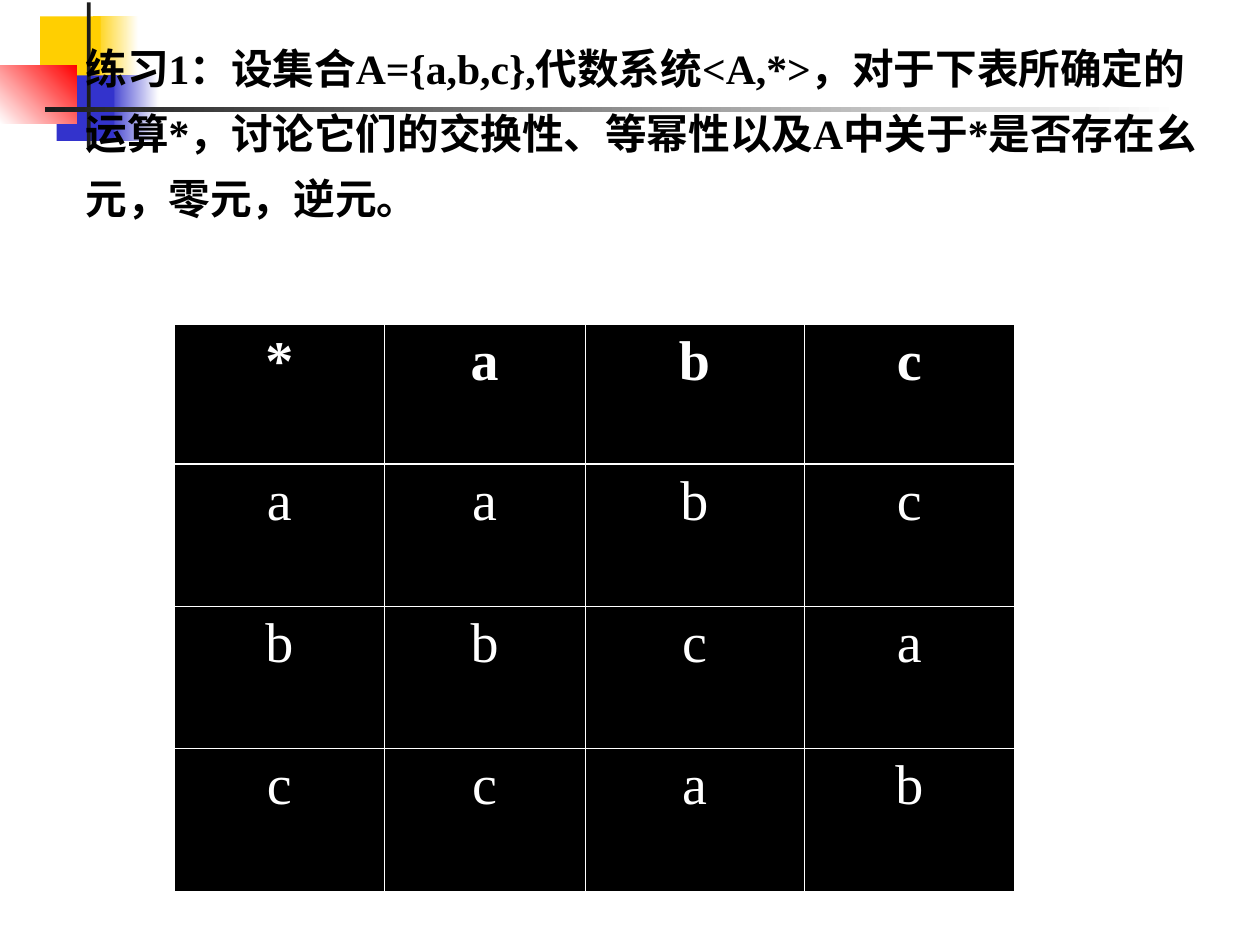
from lxml.etree import SubElement
from pptx import Presentation
from pptx.dml.color import RGBColor
from pptx.enum.shapes import MSO_SHAPE
from pptx.enum.text import MSO_ANCHOR, MSO_AUTO_SIZE, PP_ALIGN
from pptx.oxml.ns import qn
from pptx.util import Cm, Pt

# Content
EXERCISE = ("练习1：设集合A={a,b,c},代数系统<A,*>，对于下表所确定的运算*，"
            "讨论它们的交换性、等幂性以及A中关于*是否存在幺元，零元，逆元。")
OPERATION = ["*abc", "aabc", "bbca", "ccab"]

FONT = "Times New Roman"
COLORS = {"yellow": "FFCF01", "blue": "3333CC", "red": "FF0000",
          "dark": "1C1C1C", "white": "FFFFFF", "black": "000000"}

# Corner ornament: left, top, width, height in cm; start and end colour; angle
ORNAMENT = [
    (1.88, 0.33, 0.91, 1.32, "yellow", "white", 0),
    (2.18, 1.52, 1.02, 1.32, "blue", "white", 0),
    (0.81, 0.33, 1.22, 1.32, "yellow", None, 0),
    (1.14, 1.52, 1.17, 1.32, "blue", None, 0),
    (0, 1.32, 1.55, 1.17, "white", "red", 45),
    (1.75, 0.05, 0.08, 2.92, "dark", None, 0),
    (0.91, 2.16, 22.86, 0.1, "dark", "white", 0),
]
COL_WIDTHS = [4.24, 4.04, 4.42, 4.24]
ROW_HEIGHTS = [2.82, 2.87, 2.87, 2.87]
THIN, THICK = 0.45, 1.47


def rgb(name):
    return RGBColor.from_string(COLORS[name])


def add_block(shapes, left, top, width, height, start, end, angle):
    sp = shapes.add_shape(MSO_SHAPE.RECTANGLE, Cm(left), Cm(top), Cm(width), Cm(height))
    sp.shadow.inherit = False
    sp.line.fill.background()
    if end is None:
        sp.fill.solid()
        sp.fill.fore_color.rgb = rgb(start)
        return
    sp.fill.gradient()
    sp.fill.gradient_angle = angle
    for stop, name in zip(sp.fill.gradient_stops, (start, end)):
        stop.color.rgb = rgb(name)


def set_borders(cell, widths):
    tc_pr = cell._tc.get_or_add_tcPr()
    for i, (side, width) in enumerate(widths.items()):
        ln = SubElement(tc_pr, qn(f"a:ln{side}"), w=str(Pt(width)))
        fill = SubElement(ln, qn("a:solidFill"))
        SubElement(fill, qn("a:srgbClr"), val=COLORS["white"])
        tc_pr.insert(i, ln)  # borders come before the cell fill


def style(p, size, color, bold, align):
    p.alignment = align
    p.font.name = FONT
    p.font.size = Pt(size)
    p.font.bold = bold
    p.font.color.rgb = rgb(color)


prs = Presentation()
prs.slide_width, prs.slide_height = Cm(25.4), Cm(19.05)
s = prs.slides.add_slide(prs.slide_layouts[5])
title = s.shapes.title

# Corner ornament
ornament = s.shapes.add_group_shape()
for block in ORNAMENT:
    add_block(ornament.shapes, *block)

# Exercise text, in front of the ornament
s.shapes._spTree.append(title._element)
title.left, title.top, title.width, title.height = Cm(1.47), Cm(0.43), Cm(22.96), Cm(5.69)
tf = title.text_frame
tf.word_wrap = True
tf.auto_size = MSO_AUTO_SIZE.NONE
tf.vertical_anchor = MSO_ANCHOR.TOP
tf.text = EXERCISE
p = tf.paragraphs[0]
p.line_spacing = 1.3
p.space_before = Pt(0)
style(p, 23.8, "black", True, PP_ALIGN.LEFT)

# Operation table
table = s.shapes.add_table(len(OPERATION), len(COL_WIDTHS), Cm(3.51), Cm(6.53),
                           Cm(sum(COL_WIDTHS)), Cm(sum(ROW_HEIGHTS))).table
for col, width in zip(table.columns, COL_WIDTHS):
    col.width = Cm(width)
for row, height in zip(table.rows, ROW_HEIGHTS):
    row.height = Cm(height)
for r, symbols in enumerate(OPERATION):
    for c, symbol in enumerate(symbols):
        cell = table.cell(r, c)
        cell.text = symbol
        cell.fill.solid()
        cell.fill.fore_color.rgb = rgb("black")
        style(cell.text_frame.paragraphs[0], 32, "white", r == 0, PP_ALIGN.CENTER)
        set_borders(cell, {"L": THIN, "R": THIN,
                           "T": THICK if r == 1 else THIN,
                           "B": THICK if r == 0 else THIN})

prs.save("out.pptx")
